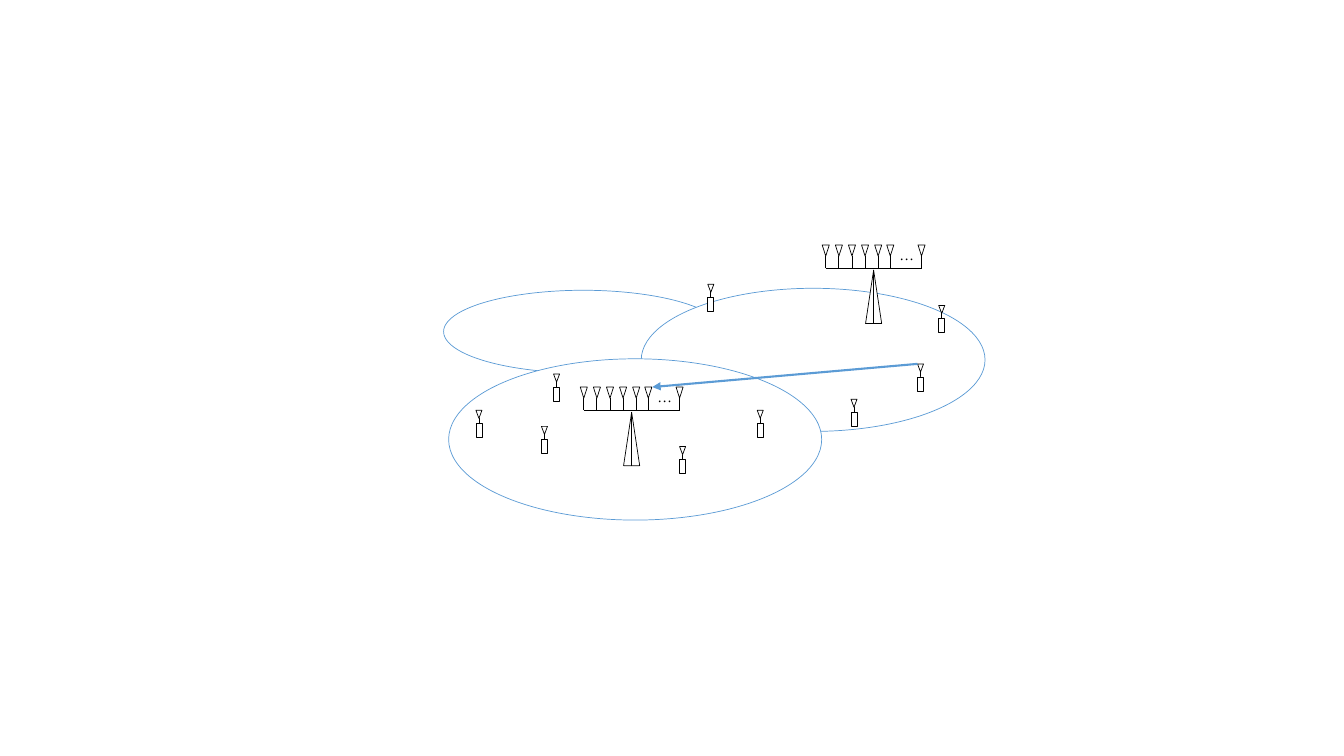
from lxml import etree
from pptx import Presentation
from pptx.dml.color import RGBColor
from pptx.enum.shapes import MSO_CONNECTOR, MSO_SHAPE
from pptx.enum.text import MSO_AUTO_SIZE
from pptx.oxml.ns import qn
from pptx.util import Inches, Pt

OVAL, BOX, CONE = MSO_SHAPE.OVAL, MSO_SHAPE.RECTANGLE, MSO_SHAPE.ISOSCELES_TRIANGLE
STRAIGHT = MSO_CONNECTOR.STRAIGHT
GROW = MSO_AUTO_SIZE.SHAPE_TO_FIT_TEXT
BLACK, WHITE, BLUE = "000000", "FFFFFF", "5B9BD5"

CELLS = [(4.4, 2.88, 2.77, 0.82), (6.36, 2.86, 3.41, 1.42), (4.45, 3.56, 3.7, 1.6)]
PHONES = [(7.54, 4.07), (5.4, 4.23), (5.52, 3.71), (6.77, 4.43), (4.75, 4.07),
          (7.05, 2.82), (8.47, 3.96), (9.13, 3.61), (9.34, 3.03)]
STATIONS = [(5.79, 3.84), (8.19, 2.43)]
MASTS = [0, 0.13, 0.26, 0.39, 0.52, 0.64, 0.95]


def paint(color):
    return RGBColor.from_string(color)


def add_shape(slide, kind, x, y, w, h, color=BLACK):
    shape = slide.shapes.add_shape(kind, Inches(x), Inches(y), Inches(w), Inches(h))
    shape.shadow.inherit = False
    shape.fill.solid()
    shape.fill.fore_color.rgb = paint(WHITE)
    shape.line.color.rgb = paint(color)
    shape.line.width = Pt(0.5)
    return shape


def add_line(slide, x1, y1, x2, y2, color=BLACK, width=0.5):
    line = slide.shapes.add_connector(
        STRAIGHT, Inches(x1), Inches(y1), Inches(x2), Inches(y2))
    line.line.color.rgb = paint(color)
    line.line.width = Pt(width)
    etree.SubElement(line._element.spPr, qn("a:effectLst"))
    return line


def add_aerial(slide, x, y, w, h, stem):
    """Draw a downward cone centred on x, with a stem below it."""
    add_shape(slide, CONE, x - w / 2, y, w, h).rotation = 180
    add_line(slide, x, y + h + stem, x, y + h)


def add_phone(slide, x, y):
    add_aerial(slide, x, y, 0.06, 0.08, 0.05)
    add_shape(slide, BOX, x - 0.03, y + 0.13, 0.06, 0.14)


def add_dots(slide, x, y):
    box = slide.shapes.add_textbox(Inches(x), Inches(y), Inches(0.11), Inches(0.18))
    frame = box.text_frame
    frame.word_wrap = True
    frame.auto_size = GROW
    frame.margin_left = frame.margin_right = 0
    frame.margin_top = frame.margin_bottom = 0
    run = frame.paragraphs[0].add_run()
    run.text = "…"
    run.font.name = "Times New Roman"
    run.font.size = Pt(10.5)
    run.font.color.rgb = paint(BLACK)


def add_station(slide, x, y):
    """Draw a tower with its row of aerials, the first one at x, y."""
    bar = y + 0.23
    mid = x + MASTS[-1] / 2
    add_shape(slide, CONE, mid - 0.08, bar + 0.02, 0.16, 0.53)
    add_line(slide, x, bar, x + MASTS[-1], bar)
    for mast in MASTS:
        add_aerial(slide, x + mast, y, 0.07, 0.11, 0.12)
    add_dots(slide, x + 0.73, y + 0.01)
    add_line(slide, mid, bar + 0.02, mid, bar + 0.55, width=0.75)


def add_arrow(slide, x1, y1, x2, y2):
    arrow = add_line(slide, x1, y1, x2, y2, BLUE, 1.5)
    outline = arrow.line._get_or_add_ln()
    etree.SubElement(outline, qn("a:tailEnd"), type="triangle")


def main():
    deck = Presentation()
    deck.slide_width, deck.slide_height = Inches(13.33), Inches(7.5)
    slide = deck.slides.add_slide(deck.slide_layouts[6])
    for cell in CELLS:
        add_shape(slide, OVAL, *cell, color=BLUE)
    for phone in PHONES:
        add_phone(slide, *phone)
    for station in STATIONS:
        add_station(slide, *station)
    add_arrow(slide, 9.1, 3.61, 6.47, 3.84)
    deck.save("out.pptx")


if __name__ == "__main__":
    main()
